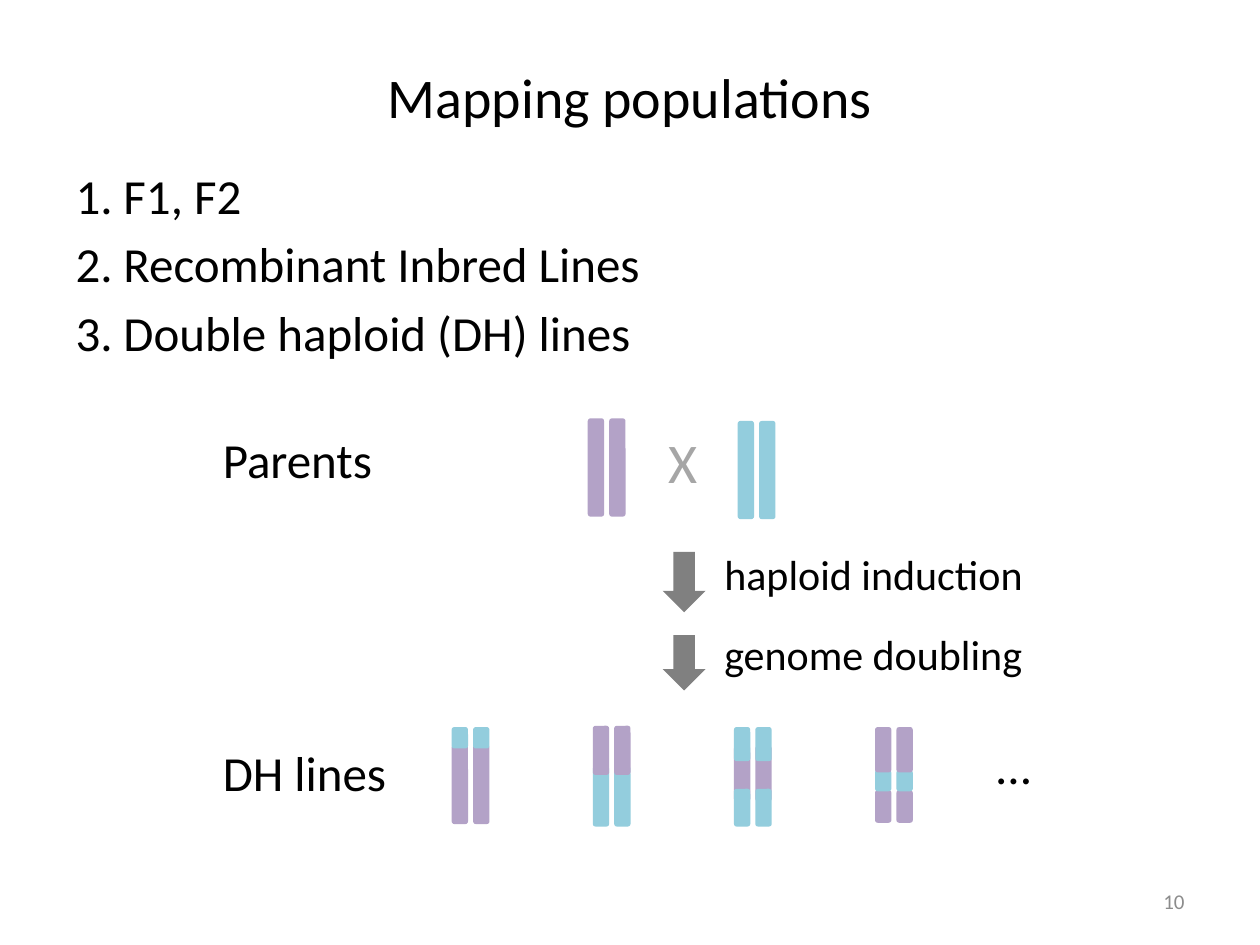
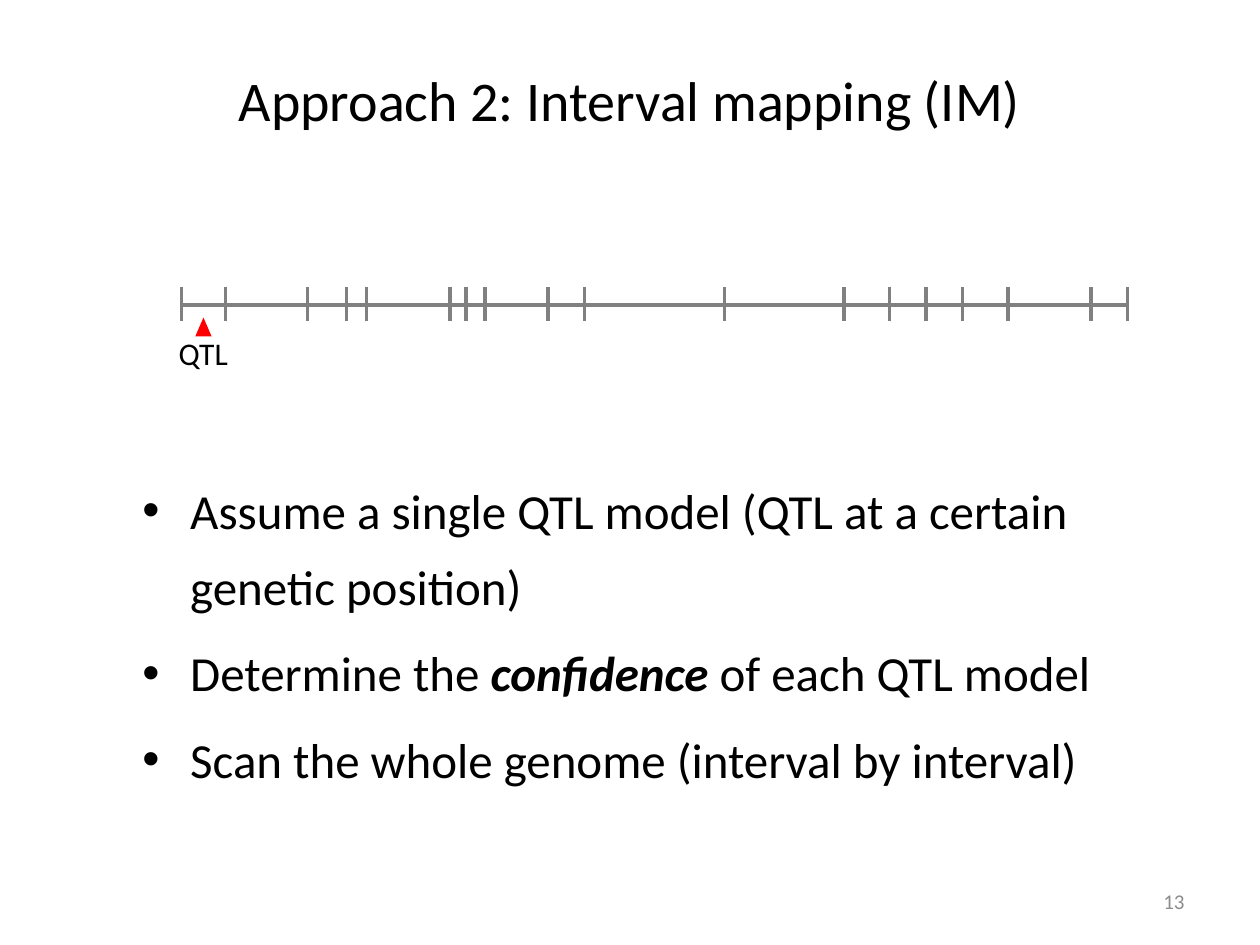
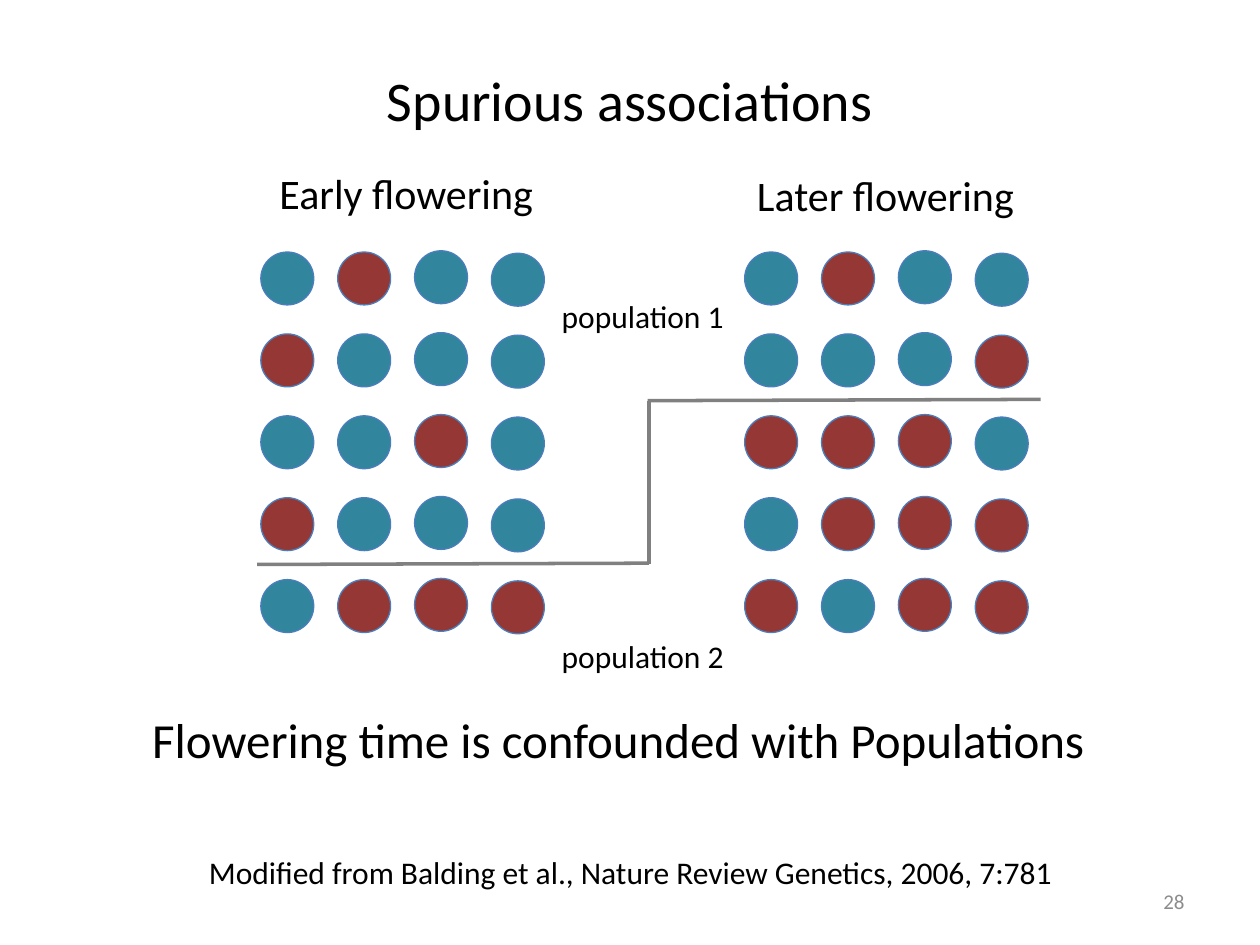
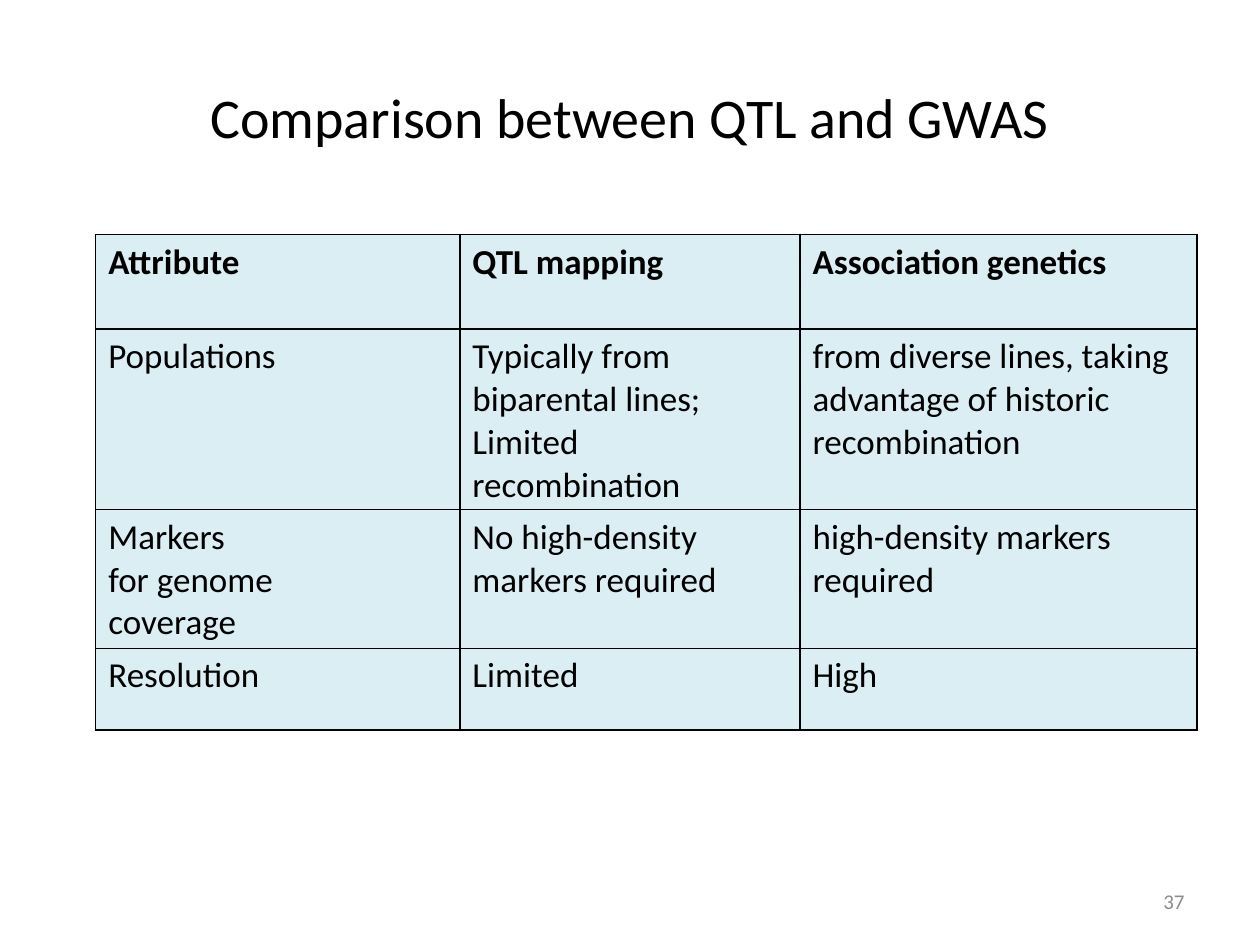
from dataclasses import dataclass

from lxml.etree import SubElement
from pptx import Presentation
from pptx.dml.color import RGBColor
from pptx.enum.shapes import MSO_CONNECTOR, MSO_SHAPE
from pptx.enum.text import MSO_ANCHOR, MSO_AUTO_SIZE, PP_ALIGN
from pptx.oxml.ns import qn
from pptx.util import Inches, Pt


@dataclass(frozen=True)
class Theme:
    font: str = "Calibri"
    black: str = "000000"
    number_gray: str = "8C8C8C"
    cross_gray: str = "A6A6A6"
    gray: str = "808080"
    purple: str = "B3A2C7"
    blue: str = "93CDDD"
    teal: str = "31859C"
    maroon: str = "953735"
    outline: str = "4B7EBC"
    red: str = "FF0000"
    cell: str = "DBEEF4"
    title: int = 32
    body: int = 28
    label: int = 24
    table: int = 20
    small: int = 18
    number: int = 12
    stroke: float = 2


THEME = Theme()
TITLE_AND_BODY, TITLE_ONLY = 1, 5
NUMBER_BOX = (7.17, 6.95, 2.33, 0.4)
LIST_INDENT = 0.38

POPULATIONS = {
    "title": "Mapping populations",
    "title_height": 0.93,
    "number": "10",
    "list": [["F1, F2"], ["Recombinant Inbred Lines"], ["Double haploid (DH) lines"]],
    "list_box": (0.5, 1.26, 4.73, 1.7),
    "labels": [
        ("X", (5.21, 3.34, 0.43, 0.64), THEME.title, THEME.cross_gray),
        ("Parents", (1.67, 3.36, 1.42, 0.57), THEME.body, THEME.black),
        ("DH lines", (1.67, 5.84, 1.51, 0.57), THEME.body, THEME.black),
        ("...", (7.8, 5.79, 0.5, 0.57), THEME.body, THEME.black),
    ],
    "steps": "haploid induction\ngenome doubling",
    "steps_box": (5.65, 4.38, 3.28, 1.08),
    "arrows": [(5.26, 4.38, 0.34, 0.48), (5.26, 5.04, 0.34, 0.44)],
    "parents": [
        (4.73, [(THEME.purple, 3.32, 0.78)]),
        (5.92, [(THEME.blue, 3.34, 0.78)]),
    ],
    "dh_lines": [
        [(THEME.purple, 5.91, 0.63), (THEME.blue, 5.77, 0.17)],
        [(THEME.blue, 6.08, 0.48), (THEME.purple, 5.76, 0.39)],
        [(THEME.purple, 5.92, 0.44), (THEME.blue, 5.77, 0.27), (THEME.blue, 6.26, 0.3)],
        [(THEME.purple, 6.27, 0.26), (THEME.blue, 6.11, 0.17), (THEME.purple, 5.77, 0.36)],
    ],
}
CHROMOSOME_WIDTH, CHROMATID_PITCH = 0.13, 0.17
DH_LEFT, DH_PITCH = 3.65, 1.12

INTERVAL = {
    "title": "Approach 2: Interval mapping (IM)",
    "title_height": 0.98,
    "number": "13",
    "markers": [1.44, 1.79, 2.44, 2.75, 2.91, 3.57, 3.7, 3.85, 4.35, 4.64,
                5.75, 6.7, 7.06, 7.35, 7.64, 8, 8.66, 8.95],
    "list": [
        ["Assume a single QTL model (QTL at a certain genetic position)"],
        ["Determine the ", "confidence", " of each QTL model"],
        ["Scan the whole genome (interval by interval)"],
    ],
    "list_box": (1.03, 3.62, 8.28, 2.59),
    "emphasis": "confidence",
}
MAP_Y, MARKER_TOP, MARKER_BOTTOM = 2.42, 2.28, 2.55

SPURIOUS = {
    "title": "Spurious associations",
    "title_height": 0.98,
    "number": "28",
    "labels": [
        ("Early flowering", (2.12, 1.28, 2.24, 0.5), THEME.label),
        ("Later flowering", (5.91, 1.3, 2.27, 0.5), THEME.label),
        ("Flowering time is confounded with Populations", (1.11, 5.58, 7.89, 0.57), THEME.body),
        ("Modified from Balding et al., Nature Review Genetics, 2006, 7:781",
         (1.56, 6.72, 7.14, 0.4), THEME.small),
        ("population 1", (4.36, 2.31, 1.5, 0.4), THEME.small),
        ("population 2", (4.36, 5.01, 1.5, 0.4), THEME.small),
    ],
    "plants": [
        (2.07, ["TMTT", "MTTT", "TTMT", "MTTT", "TMMM"]),
        (5.91, ["TMTT", "TTTM", "MMMT", "TMMM", "MTMM"]),
    ],
    "boundary": [
        ((2.04, 4.48), (5.15, 4.47)),
        ((5.14, 3.18), (8.26, 3.17)),
        ((5.15, 3.18), (5.15, 4.48)),
    ],
}
ALLELES = {"T": THEME.teal, "M": THEME.maroon}
PLANT_TOPS = (2, 2, 1.99, 2.01)
PLANT_SIZE, PLANT_PITCH_X, PLANT_PITCH_Y = 0.42, 0.61, 0.65

COMPARISON = {
    "title": "Comparison between QTL and GWAS",
    "title_height": 1.25,
    "number": "37",
    "rows": [
        ("Attribute", "QTL mapping", "Association genetics"),
        ("Populations", "Typically from biparental lines; Limited recombination",
         "from diverse lines, taking advantage of historic recombination"),
        ("Markers\nfor genome\ncoverage", "No high-density markers required",
         "high-density markers required"),
        ("Resolution", "Limited", "High"),
    ],
    "widths": (2.89, 2.7, 3.15),
    "heights": (0.75, 0.49, 1.05, 0.65),
    "box": (0.76, 1.86, 8.74, 3.93),
}


def inches(box):
    return [Inches(length) for length in box]


def style(font, size, color=THEME.black, bold=None):
    font.name, font.size, font.bold = THEME.font, Pt(size), bold
    font.color.rgb = RGBColor.from_string(color)


def style_frame(frame, size, color=THEME.black, bold=None):
    for paragraph in frame.paragraphs:
        for run in paragraph.runs:
            style(run.font, size, color, bold)


def place(shape, box):
    shape.left, shape.top, shape.width, shape.height = inches(box)


def add_text(shapes, text, box, size, color=THEME.black, wrap=False):
    label = shapes.add_textbox(*inches(box))
    frame = label.text_frame
    frame.text = text
    frame.word_wrap = wrap
    style_frame(frame, size, color)
    return frame


def add_figure(shapes, kind, box, fill, outline=None):
    figure = shapes.add_shape(kind, *inches(box))
    figure.shadow.inherit = False
    figure.fill.solid()
    figure.fill.fore_color.rgb = RGBColor.from_string(fill)
    if outline:
        figure.line.color.rgb = RGBColor.from_string(outline)
        figure.line.width = Pt(0.75)
    else:
        figure.line.fill.background()
    return figure


def add_line(shapes, start, end):
    line = shapes.add_connector(MSO_CONNECTOR.STRAIGHT, *inches(start + end))
    line.line.color.rgb = RGBColor.from_string(THEME.gray)
    line.line.width = Pt(THEME.stroke)
    SubElement(line._element.spPr, qn("a:effectLst"))


def start_slide(deck, content, layout):
    slide = deck.slides.add_slide(deck.slide_layouts[layout])
    title = slide.shapes.title
    place(title, (0.5, 0.3, 9, content["title_height"]))
    title.text_frame.text = content["title"]
    title.text_frame.vertical_anchor = MSO_ANCHOR.MIDDLE
    title.text_frame.paragraphs[0].alignment = PP_ALIGN.CENTER
    style_frame(title.text_frame, THEME.title)
    number = add_text(slide.shapes, content["number"], NUMBER_BOX, THEME.number,
                      THEME.number_gray, wrap=True)
    number.vertical_anchor = MSO_ANCHOR.MIDDLE
    number.paragraphs[0].alignment = PP_ALIGN.RIGHT
    return slide


def fill_list(slide, content, bullet_tag, bullet, line_spacing=None):
    body = slide.placeholders[1]
    place(body, content["list_box"])
    frame = body.text_frame
    frame.auto_size = MSO_AUTO_SIZE.NONE
    for index, parts in enumerate(content["list"]):
        paragraph = frame.add_paragraph() if index else frame.paragraphs[0]
        paragraph.line_spacing = line_spacing
        properties = paragraph._p.get_or_add_pPr()
        properties.set("marL", str(Inches(LIST_INDENT)))
        properties.set("indent", str(-Inches(LIST_INDENT)))
        SubElement(properties, qn(bullet_tag), **bullet)
        for part in parts:
            run = paragraph.add_run()
            run.text = part
            style(run.font, THEME.body)
            if part == content.get("emphasis"):
                run.font.bold = run.font.italic = True
    return frame


def add_chromosome_pair(shapes, center, segments):
    pair = shapes.add_group_shape().shapes
    for x in (center, center + CHROMATID_PITCH):
        for color, top, length in segments:
            box = (x - length / 2, top + (length - CHROMOSOME_WIDTH) / 2,
                   length, CHROMOSOME_WIDTH)
            add_figure(pair, MSO_SHAPE.ROUNDED_RECTANGLE, box, color).rotation = 270


def build_populations(deck):
    slide = start_slide(deck, POPULATIONS, TITLE_AND_BODY)
    shapes = slide.shapes
    numbered = fill_list(slide, POPULATIONS, "a:buAutoNum", {"type": "arabicPeriod"})
    numbered.word_wrap = False
    for center, segments in POPULATIONS["parents"]:
        add_chromosome_pair(shapes, center, segments)
    for index, segments in enumerate(POPULATIONS["dh_lines"]):
        add_chromosome_pair(shapes, DH_LEFT + index * DH_PITCH, segments)
    for box in POPULATIONS["arrows"]:
        add_figure(shapes, MSO_SHAPE.DOWN_ARROW, box, THEME.gray)
    for text, box, size, color in POPULATIONS["labels"]:
        add_text(shapes, text, box, size, color)
    steps = add_text(shapes, POPULATIONS["steps"], POPULATIONS["steps_box"],
                     THEME.label, wrap=True)
    for step in steps.paragraphs:
        step.line_spacing = 0.8
    steps.paragraphs[1].space_before = Pt(23)


def build_interval(deck):
    slide = start_slide(deck, INTERVAL, TITLE_AND_BODY)
    shapes = slide.shapes
    markers = INTERVAL["markers"]
    add_line(shapes, (markers[0], MAP_Y), (markers[-1], MAP_Y))
    for x in markers:
        add_line(shapes, (x, MARKER_TOP), (x, MARKER_BOTTOM))
    qtl = shapes.add_group_shape().shapes
    add_text(qtl, "QTL", (1.32, 2.6, 0.61, 0.4), THEME.small)
    add_figure(qtl, MSO_SHAPE.ISOSCELES_TRIANGLE, (1.55, 2.52, 0.13, 0.15), THEME.red)
    fill_list(slide, INTERVAL, "a:buChar", {"char": "•"}, 1.3)


def build_spurious(deck):
    shapes = start_slide(deck, SPURIOUS, TITLE_ONLY).shapes
    for text, box, size in SPURIOUS["labels"]:
        add_text(shapes, text, box, size)
    for left, rows in SPURIOUS["plants"]:
        for row, alleles in enumerate(rows):
            plants = shapes.add_group_shape().shapes
            for column, (allele, top) in enumerate(zip(alleles, PLANT_TOPS)):
                box = (left + column * PLANT_PITCH_X, top + row * PLANT_PITCH_Y,
                       PLANT_SIZE, PLANT_SIZE)
                add_figure(plants, MSO_SHAPE.OVAL, box, ALLELES[allele], THEME.outline)
    boundary = shapes.add_group_shape().shapes
    for start, end in SPURIOUS["boundary"]:
        add_line(boundary, start, end)


def style_cell(cell, bold):
    properties = cell._tc.get_or_add_tcPr()
    for side in ("a:lnL", "a:lnR", "a:lnT", "a:lnB"):
        border = SubElement(properties, qn(side), w=str(Pt(1)))
        color = SubElement(border, qn("a:solidFill"))
        SubElement(color, qn("a:srgbClr"), val=THEME.black)
    cell.fill.solid()
    cell.fill.fore_color.rgb = RGBColor.from_string(THEME.cell)
    style_frame(cell.text_frame, THEME.table, bold=bold)


def build_comparison(deck):
    shapes = start_slide(deck, COMPARISON, TITLE_ONLY).shapes
    rows, widths = COMPARISON["rows"], COMPARISON["widths"]
    table = shapes.add_table(len(rows), len(widths), *inches(COMPARISON["box"])).table
    for column, width in zip(table.columns, widths):
        column.width = Inches(width)
    for row, height in zip(table.rows, COMPARISON["heights"]):
        row.height = Inches(height)
    for row, texts in enumerate(rows):
        for column, text in enumerate(texts):
            cell = table.cell(row, column)
            cell.text = text
            style_cell(cell, bold=row == 0)


def main():
    deck = Presentation()
    deck.slide_width, deck.slide_height = Inches(10), Inches(7.5)
    build_populations(deck)
    build_interval(deck)
    build_spurious(deck)
    build_comparison(deck)
    deck.save("out.pptx")


if __name__ == "__main__":
    main()
